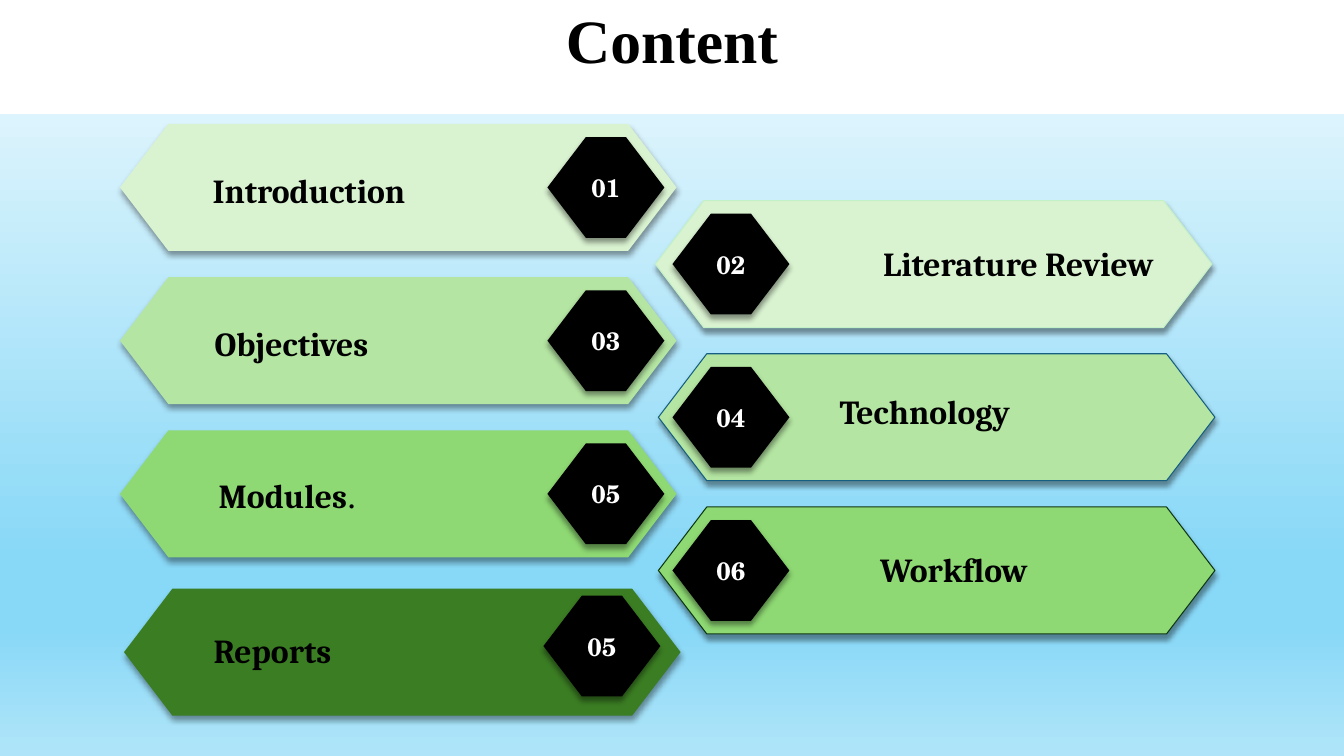
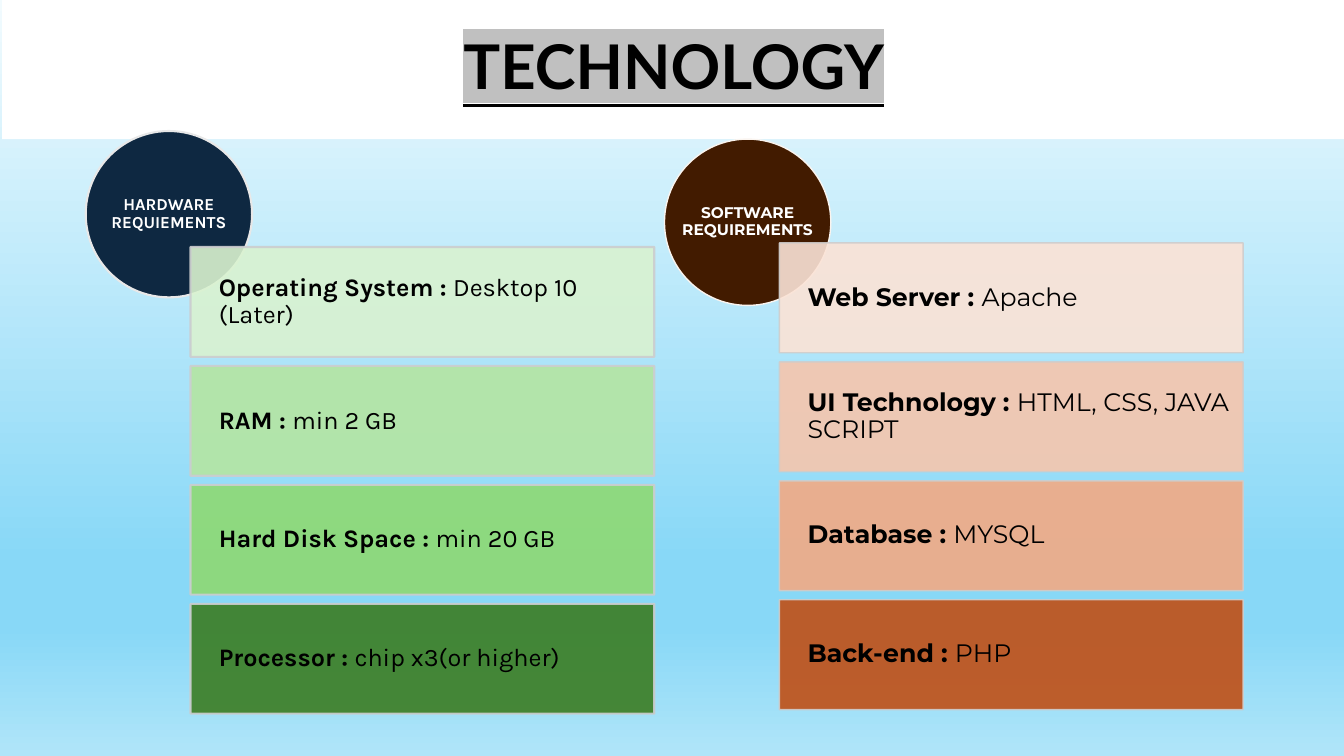
from lxml.etree import SubElement
from pptx import Presentation
from pptx.dml.color import RGBColor
from pptx.enum.shapes import MSO_SHAPE
from pptx.enum.text import MSO_ANCHOR, MSO_AUTO_SIZE, PP_ALIGN
from pptx.oxml.ns import qn
from pptx.util import Inches, Pt

BLACK = RGBColor(0x00, 0x00, 0x00)
WHITE = RGBColor(0xFF, 0xFF, 0xFF)
SILVER = RGBColor(0xC0, 0xC0, 0xC0)
PALE_GREEN = RGBColor(0xD9, 0xF2, 0xD0)
LIGHT_GREEN = RGBColor(0xB4, 0xE5, 0xA2)
MID_GREEN = RGBColor(0x8E, 0xD9, 0x73)
DARK_GREEN = RGBColor(0x3B, 0x7D, 0x23)
MINT = RGBColor(0xC2, 0xF1, 0xC8)
TEAL = RGBColor(0x15, 0x60, 0x82)
FOREST = RGBColor(0x0D, 0x36, 0x12)
NAVY = RGBColor(0x0E, 0x28, 0x41)
BROWN = RGBColor(0x42, 0x1B, 0x00)
CREAM = RGBColor(0xFA, 0xF4, 0xEF)
MIST = RGBColor(0xE8, 0xE8, 0xE8)
COOL_GREY = RGBColor(0xCC, 0xCD, 0xCF)
WARM_GREY = RGBColor(0xCF, 0xCD, 0xCC)
GREENS = [PALE_GREEN, LIGHT_GREEN, MID_GREEN, DARK_GREEN]
ORANGES = [RGBColor(0xFB, 0xE3, 0xD6), RGBColor(0xF6, 0xC6, 0xAD),
           RGBColor(0xF2, 0xAA, 0x84), RGBColor(0xC0, 0x4F, 0x15)]
SKY_STOPS = [(0, RGBColor(0xF2, 0xFB, 0xFE)), (74, RGBColor(0x88, 0xD8, 0xF7)),
             (83, RGBColor(0x88, 0xD8, 0xF7)), (100, RGBColor(0xB0, 0xE5, 0xF9))]

TITLE_FONT = {"size": Pt(44), "bold": True}
LABEL_FONT = {"name": "Cambria", "size": Pt(24), "bold": True}
NUMBER_FONT = {"name": "TeX Gyre Schola", "size": Pt(18), "bold": True}
BANNER_PITCH = 1.52
ROW_PITCH = 1.18


def set_sky_background(master):
    """Give the master the vertical sky gradient that every slide inherits."""
    fill = master.background.fill
    fill.gradient()
    fill.gradient_angle = 270
    stops = master.element.xpath(".//p:bg//a:gsLst")[0]
    for old in list(stops):
        stops.remove(old)
    for percent, color in SKY_STOPS:
        stop = SubElement(stops, qn("a:gs"), pos=str(percent * 1000))
        SubElement(stop, qn("a:srgbClr"), val=str(color))


def add_run(p, text, fmt, color=BLACK):
    """Append a formatted run to a paragraph."""
    r = p.add_run()
    r.text = text
    for name, value in fmt.items():
        setattr(r.font, name, value)
    r.font.color.rgb = color
    return r


def set_frame(tf, insets, wrap=True):
    """Centre a text frame vertically and set its left, top, right, bottom insets."""
    tf.word_wrap = wrap
    tf.vertical_anchor = MSO_ANCHOR.MIDDLE
    for side, inset in zip(("left", "top", "right", "bottom"), insets):
        setattr(tf, f"margin_{side}", Inches(inset))


def add_title(prs, text, box, fmt):
    """Add a slide with a white title band and return the slide and title run."""
    s = prs.slides.add_slide(prs.slide_layouts[5])
    title = s.shapes.title
    title.left, title.top, title.width, title.height = map(Inches, box)
    title.fill.solid()
    title.fill.fore_color.rgb = WHITE
    tf = title.text_frame
    tf.auto_size = MSO_AUTO_SIZE.NONE
    set_frame(tf, (0.1, 0.05, 0.1, 0.05))
    p = tf.paragraphs[0]
    p.alignment = PP_ALIGN.CENTER
    p.line_spacing = 0.9
    return s, add_run(p, text, TITLE_FONT | fmt)


def add_highlight(r, color):
    """Put a highlight colour behind a run."""
    fill = r.font._element.find(qn("a:solidFill"))
    mark = SubElement(fill.getparent(), qn("a:highlight"))
    SubElement(mark, qn("a:srgbClr"), val=str(color))
    fill.addnext(mark)


def add_figure(s, kind, box, color, line=None, weight=0.75):
    """Add a filled preset shape without the theme shadow."""
    shape = s.shapes.add_shape(kind, *map(Inches, box))
    shape.shadow.inherit = False
    shape.fill.solid()
    shape.fill.fore_color.rgb = color
    if line is None:
        shape.line.fill.background()
    else:
        shape.line.color.rgb = line
        shape.line.width = Pt(weight)
    return shape


def add_hexagon(s, box, color, line=None):
    """Add a hexagon with a soft shadow below it."""
    shape = add_figure(s, MSO_SHAPE.HEXAGON, box, color, line)
    shape.adjustments[0] = 0.381
    effects = shape.element.spPr.find(qn("a:effectLst"))
    shadow = SubElement(effects, qn("a:outerShdw"), blurRad=str(Pt(4)),
                        dist=str(Pt(3)), dir="5400000", algn="t", rotWithShape="0")
    black = SubElement(shadow, qn("a:srgbClr"), val=str(BLACK))
    SubElement(black, qn("a:alpha"), val="40000")
    return shape


def add_banner(s, place, color, line, number, badge_place):
    """Add a wide hexagon with a numbered black badge."""
    add_hexagon(s, (*place, 5.52, 1.26), color, line)
    badge = add_hexagon(s, (*badge_place, 1.16, 1), BLACK)
    set_frame(badge.text_frame, (0, 0, 0, 0), wrap=False)
    p = badge.text_frame.paragraphs[0]
    p.alignment = PP_ALIGN.CENTER
    add_run(p, number, NUMBER_FONT, WHITE)


def add_label(s, text, box, align=PP_ALIGN.LEFT):
    """Add a banner label and return its paragraph."""
    tf = s.shapes.add_textbox(*map(Inches, (*box, 0.5))).text_frame
    tf.word_wrap = True
    p = tf.paragraphs[0]
    p.alignment = align
    add_run(p, text, LABEL_FONT)
    return p


def add_circle(s, place, words, color, line, weight, fmt):
    """Add a heading circle with one word on each line."""
    circle = add_figure(s, MSO_SHAPE.OVAL, (*place, 1.65, 1.65), color, line, weight)
    set_frame(circle.text_frame, (0, 0, 0, 0), wrap=False)
    p = circle.text_frame.paragraphs[0]
    p.alignment = PP_ALIGN.CENTER
    p.line_spacing = 0.9
    for i, word in enumerate(words):
        if i:
            p.add_line_break()
        add_run(p, word, fmt | {"bold": True}, WHITE)


def add_rows(s, left, top, rows, colors, line, weight, font):
    """Stack translucent requirement boxes at an equal pitch."""
    for i, ((name, value), color) in enumerate(zip(rows, colors)):
        box = (left, top + i * ROW_PITCH, 4.6, 1.09)
        shape = add_figure(s, MSO_SHAPE.RECTANGLE, box, color, line, weight)
        for clr in list(shape.element.spPr.iter(qn("a:srgbClr"))):
            SubElement(clr, qn("a:alpha"), val="90000")
        set_frame(shape.text_frame, (0.28, 0.12, 0.12, 0.12))
        p = shape.text_frame.paragraphs[0]
        p.alignment = PP_ALIGN.LEFT
        p.line_spacing = 0.9
        fmt = {"name": font, "size": Pt(18)}
        add_run(p, f"{name} : ", fmt | {"bold": True})
        add_run(p, value, fmt | {"bold": False})


def build_content(prs):
    """Build the table of contents."""
    s, _ = add_title(prs, "Content", (0, -0.26, 13.33, 1.39),
                     {"name": "Times New Roman"})
    right = [("02", 6.5, MINT), ("04", 6.53, TEAL), ("06", 6.53, FOREST)]
    for i, (number, left, line) in enumerate(right):
        top = 1.99 + i * BANNER_PITCH
        add_banner(s, (left, top), GREENS[i], line, number, (6.67, top + 0.13))
    for i, number in enumerate(("01", "03", "05")):
        top = 1.23 + i * BANNER_PITCH
        add_banner(s, (1.19, top), GREENS[i], None, number, (5.43, top + 0.13))
    add_banner(s, (1.23, 5.84), DARK_GREEN, None, "05", (5.39, 5.91))

    add_label(s, "Introduction", (2.01, 1.64, 3.25))
    add_label(s, "Objectives", (2.03, 3.15, 2.65))
    modules = add_label(s, "Modules", (2.07, 4.66, 1.93))
    add_run(modules, ".", LABEL_FONT | {"name": "TeX Gyre Schola", "bold": False})
    add_label(s, "Reports", (2.02, 6.2, 2.29))
    add_label(s, "Literature Review", (8.03, 2.36, 3.51), PP_ALIGN.RIGHT)
    add_label(s, "Technology", (8.23, 3.83, 2.52))
    add_label(s, "Workflow", (8.29, 5.4, 2), PP_ALIGN.RIGHT)


def build_technology(prs):
    """Build the hardware and software requirements."""
    s, r = add_title(prs, "TECHNOLOGY", (0.02, 0, 13.33, 1.38),
                     {"name": "Lato", "underline": True})
    add_highlight(r, SILVER)

    add_circle(s, (6.59, 1.38), ("SOFTWARE", "REQUIREMENTS"), BROWN, CREAM, 1,
               {"name": "Montserrat", "size": Pt(11)})
    software = [("Web Server", "Apache"), ("UI Technology", "HTML, CSS, JAVA SCRIPT"),
                ("Database", "MYSQL"), ("Back-end", "PHP")]
    add_rows(s, 7.73, 2.41, software, ORANGES, WARM_GREY, 1, "Montserrat")

    add_circle(s, (0.85, 1.3), ("HARDWARE", "REQUIEMENTS"), NAVY, MIST, 1.5,
               {"name": "Karla", "size": Pt(12)})
    hardware = [("Operating System", "Desktop 10 (Later)"), ("RAM", "min 2 GB"),
                ("Hard Disk Space", "min 20 GB"), ("Processor", "chip x3(or higher)")]
    add_rows(s, 1.89, 2.45, hardware, GREENS, COOL_GREY, 1.5, "Karla")


def main():
    """Build and save the presentation."""
    prs = Presentation()
    prs.slide_width, prs.slide_height = Inches(13.33), Inches(7.5)
    set_sky_background(prs.slide_master)
    build_content(prs)
    build_technology(prs)
    prs.save("out.pptx")


if __name__ == "__main__":
    main()
